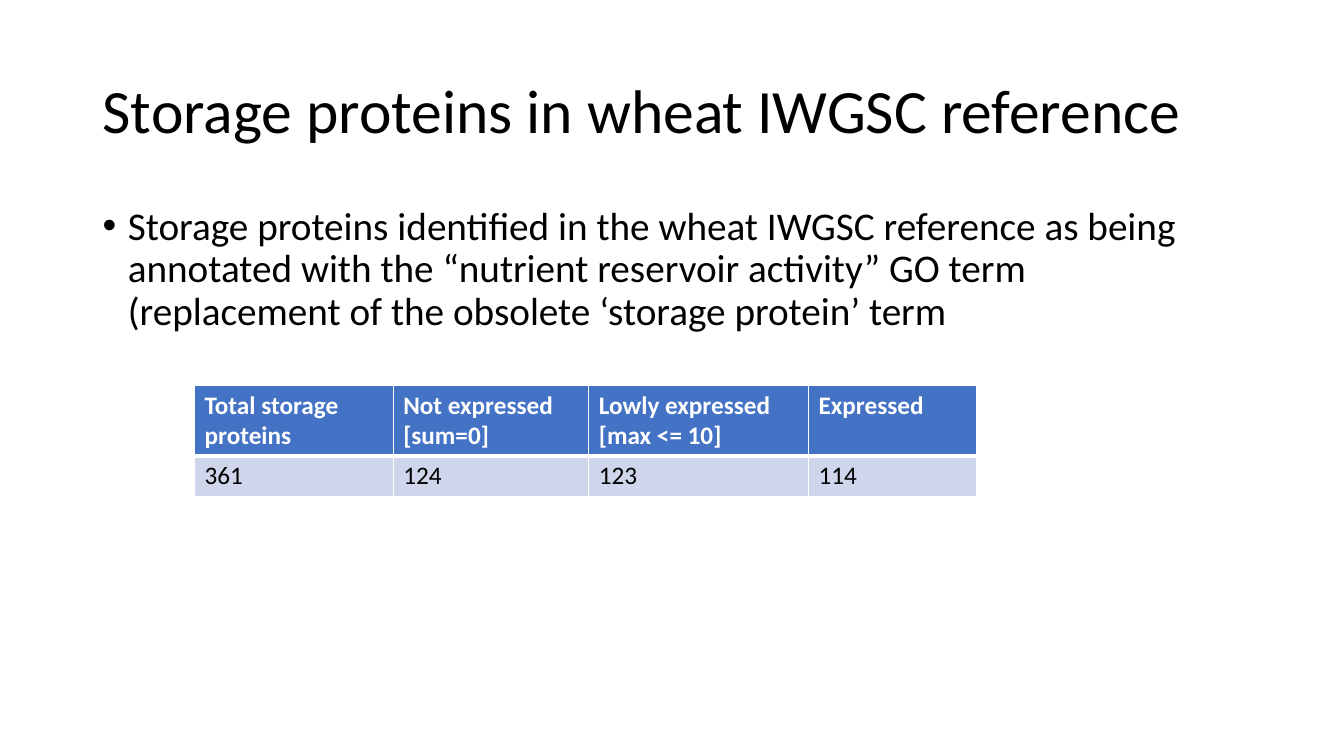
from lxml.etree import SubElement as Sub
from pptx import Presentation
from pptx.dml.color import RGBColor
from pptx.enum.text import MSO_ANCHOR as Anchor
from pptx.oxml.ns import qn
from pptx.util import Inches, Pt

BLACK, WHITE = "000000", "FFFFFF"
BLUE, PALE = "4472C4", "CFD5EA"
HEADS = ["Total storage proteins", "Not expressed [sum=0]",
         "Lowly expressed [max <= 10]", "Expressed"]
COUNTS = ["361", "124", "123", "114"]
WIDTHS = [1.97, 1.94, 2.18, 1.67]
HEIGHTS = [0.7, 0.41]


def color(code):
    """Turn a hex string into a colour."""
    return RGBColor.from_string(code)


def style(para, size, code, bold=False):
    """Set the font of a paragraph."""
    font = para.font
    font.name, font.size, font.bold = "Calibri", Pt(size), bold
    font.color.rgb = color(code)


def add_text(slide, box, text, size, anchor):
    """Add a wrapped text box and return its paragraph."""
    frame = slide.shapes.add_textbox(*map(Inches, box)).text_frame
    frame.word_wrap = True
    frame.vertical_anchor = anchor
    para = frame.paragraphs[0]
    para.text = text
    para.line_spacing = 0.9
    style(para, size, BLACK)
    return para


def add_title(slide, box):
    """Add the slide title."""
    add_text(slide, box, "Storage proteins in wheat IWGSC reference",
             44, Anchor.MIDDLE)


def add_body(slide, box):
    """Add the bulleted description."""
    para = add_text(
        slide, box,
        "Storage proteins identified in the wheat IWGSC reference as being "
        "annotated with the “nutrient reservoir activity” GO term "
        "(replacement of the obsolete ‘storage protein’ term",
        28, Anchor.TOP)
    para.space_before = Pt(10)
    props = para._p.get_or_add_pPr()
    props.set("marL", str(Inches(0.25)))
    props.set("indent", str(Inches(-0.25)))
    Sub(props, qn("a:buFont"), typeface="Arial")
    Sub(props, qn("a:buChar"), char="•")


def add_edges(cell, top, bottom):
    """Draw white borders round a cell."""
    props = cell._tc.get_or_add_tcPr()
    for side, width in zip("LRTB", (1, 1, top, bottom)):
        line = Sub(props, qn(f"a:ln{side}"), w=str(Pt(width)))
        fill = Sub(line, qn("a:solidFill"))
        Sub(fill, qn("a:srgbClr"), val=WHITE)


def add_counts(slide, left, top):
    """Add the table of storage protein counts."""
    box = map(Inches, (left, top, sum(WIDTHS), sum(HEIGHTS)))
    table = slide.shapes.add_table(2, len(HEADS), *box).table
    for col, width in zip(table.columns, WIDTHS):
        col.width = Inches(width)
    looks = [(HEADS, BLUE, WHITE, True, 1, 3),
             (COUNTS, PALE, BLACK, False, 3, 1)]
    for row, height, look in zip(table.rows, HEIGHTS, looks):
        row.height = Inches(height)
        texts, back, ink, bold, above, below = look
        for cell, text in zip(row.cells, texts):
            cell.text = text
            style(cell.text_frame.paragraphs[0], 18, ink, bold)
            add_edges(cell, above, below)
            cell.fill.solid()
            cell.fill.fore_color.rgb = color(back)


def main():
    """Build and save the slide."""
    deck = Presentation()
    deck.slide_width, deck.slide_height = Inches(13.33), Inches(7.5)
    slide = deck.slides.add_slide(deck.slide_layouts[6])
    add_title(slide, (0.92, 0.4, 11.5, 1.45))
    add_body(slide, (0.92, 2, 11.5, 4.76))
    add_counts(slide, 1.93, 3.82)
    deck.save("out.pptx")


if __name__ == "__main__":
    main()
